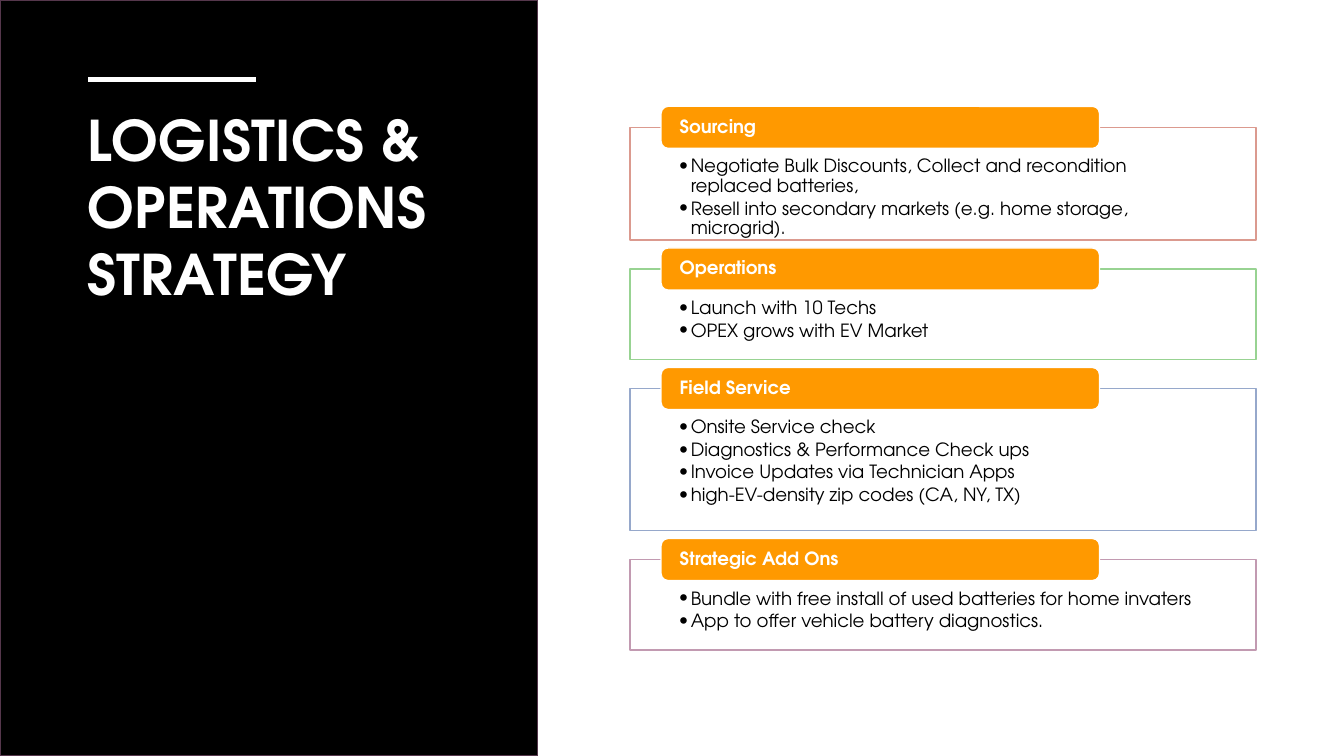
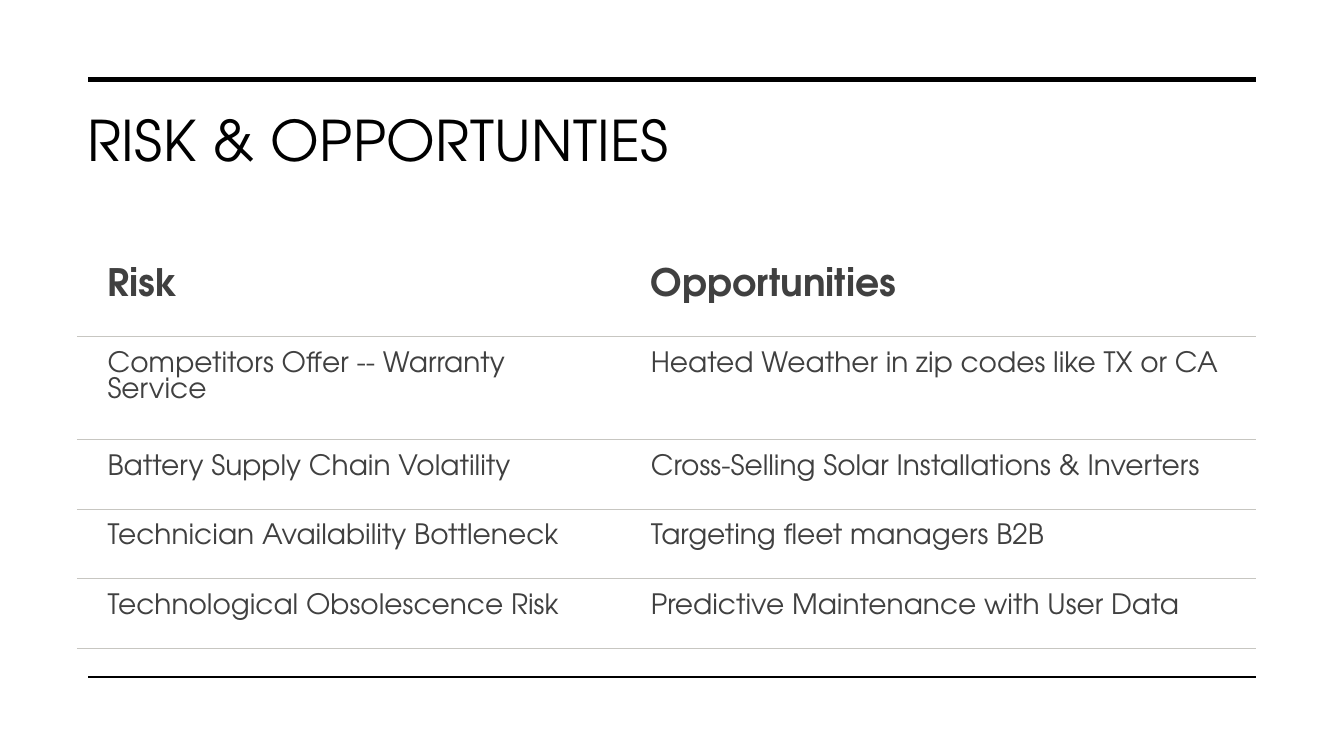
from lxml.etree import SubElement
from pptx import Presentation
from pptx.dml.color import RGBColor
from pptx.enum.shapes import MSO_CONNECTOR as Connector, MSO_SHAPE as Shape
from pptx.enum.text import MSO_ANCHOR as Anchor, MSO_AUTO_SIZE as AutoSize, PP_ALIGN as Align
from pptx.oxml import parse_xml
from pptx.oxml.ns import nsdecls, qn
from pptx.util import Cm, Pt

FONT = "TeX Gyre Adventor"
BLACK = RGBColor(0x00, 0x00, 0x00)
WHITE = RGBColor(0xFF, 0xFF, 0xFF)
ORANGE = RGBColor(0xFF, 0x99, 0x00)
PLUM = RGBColor(0x55, 0x37, 0x4C)
GREY = RGBColor(0x40, 0x40, 0x40)
SILVER = RGBColor(0xC7, 0xC6, 0xC1)
CORAL = RGBColor(0xDB, 0x9A, 0x8F)
GREEN = RGBColor(0x98, 0xD3, 0x92)
BLUE = RGBColor(0x96, 0xA8, 0xCB)
MAUVE = RGBColor(0xC2, 0x9A, 0xB1)

RULE_LEFT, RIGHT = 2.23, 31.65
TITLE_LEFT, TITLE_TOP = 1.95, 2.53


def write(para, text, size=13, color=BLACK, bold=False, spacing=1.0, after=0, tracking=0, bullet=False):
    para.alignment = Align.LEFT
    para.line_spacing = spacing
    para.space_before = Pt(0)
    para.space_after = Pt(after)
    if bullet:
        properties = para._p.get_or_add_pPr()
        properties.set("marL", str(Cm(0.3)))
        properties.set("indent", str(-Cm(0.3)))
        SubElement(properties, qn("a:buFont"), typeface=FONT)
        SubElement(properties, qn("a:buChar"), char="•")
    span = para.add_run()
    span.text = text
    span.font.name = FONT
    span.font.size = Pt(size)
    span.font.bold = bold
    span.font.color.rgb = color
    if tracking:
        span.font._element.set("spc", str(tracking))


def add_block(page, kind, left, top, width, height, fill, line):
    block = page.shapes.add_shape(kind, Cm(left), Cm(top), Cm(width), Cm(height))
    block.shadow.inherit = False
    block.fill.solid()
    block.fill.fore_color.rgb = fill
    block.line.color.rgb = line
    block.line.width = Pt(1)
    block.text_frame.word_wrap = True
    return block


deck = Presentation()
deck.slide_width, deck.slide_height = Cm(33.87), Cm(19.05)

openings = [
    ("LOGISTICS & OPERATIONS STRATEGY", 10.34, 10.19, WHITE, True, [(2.01, 6.45, 3.5)]),
    ("RISK & OPPORTUNTIES", 29.69, 3.2, BLACK, False, [(2.01, RIGHT, 3.5), (17.06, RIGHT, 1)]),
]
for text, width, height, color, bold, rules in openings:
    page = deck.slides.add_slide(deck.slide_layouts[5])
    title = page.shapes.title
    title.left, title.top = Cm(TITLE_LEFT), Cm(TITLE_TOP)
    title.width, title.height = Cm(width), Cm(height)
    title.text_frame.auto_size = AutoSize.NONE
    title.text_frame.vertical_anchor = Anchor.TOP
    write(title.text_frame.paragraphs[0], text, size=40, color=color, bold=bold, tracking=30)
    for y, end, weight in rules:
        rule = page.shapes.add_connector(Connector.STRAIGHT, Cm(RULE_LEFT), Cm(y), Cm(end), Cm(y))
        rule.line.color.rgb = color
        rule.line.width = Pt(weight)
        SubElement(rule._element.spPr, qn("a:effectLst"))

strategy, risks = deck.slides

panel = add_block(strategy, Shape.RECTANGLE, 0, 0, 13.54, 19.05, BLACK, PLUM)
strategy.shapes.title.element.addprevious(panel.element)

sections = [
    ("Sourcing", CORAL, 2.84, [
        "Negotiate Bulk Discounts, Collect and recondition replaced batteries,",
        "Resell into secondary markets (e.g. home storage, microgrid).",
    ]),
    ("Operations", GREEN, 2.28, ["Launch with 10 Techs", "OPEX grows with EV Market"]),
    ("Field Service", BLUE, 3.58, [
        "Onsite Service check",
        "Diagnostics & Performance Check ups",
        "Invoice Updates via Technician Apps",
        "high-EV-density zip codes (CA, NY, TX)",
    ]),
    ("Strategic Add Ons", MAUVE, 2.28, [
        "Bundle with free install of used batteries for home invaters",
        "App to offer vehicle battery diagnostics.",
    ]),
]
top = 3.21
for heading, outline, height, points in sections:
    box = add_block(strategy, Shape.RECTANGLE, 15.88, top, 15.77, height, WHITE, outline)
    frame = box.text_frame
    frame.vertical_anchor = Anchor.TOP
    frame.margin_left = frame.margin_right = Cm(1.23)
    frame.margin_top, frame.margin_bottom = Cm(0.75), Cm(0.25)
    for number, point in enumerate(points):
        para = frame.add_paragraph() if number else frame.paragraphs[0]
        write(para, point, spacing=0.9, after=2, bullet=True)

    label = add_block(strategy, Shape.ROUNDED_RECTANGLE, 16.66, top - 0.53, 11.05, 1.06, ORANGE, WHITE)
    frame = label.text_frame
    frame.vertical_anchor = Anchor.MIDDLE
    frame.margin_left = frame.margin_right = Cm(0.42)
    frame.margin_top = frame.margin_bottom = 0
    write(frame.paragraphs[0], heading, color=WHITE, bold=True, spacing=0.9)
    top += height + 0.73

rows = [
    ("Risk", "Opportunities"),
    ("Competitors Offer -- Warranty Service", "Heated Weather in zip codes like TX or CA"),
    ("Battery Supply Chain Volatility", "Cross-Selling Solar Installations & Inverters"),
    ("Technician Availability Bottleneck", "Targeting fleet managers B2B"),
    ("Technological Obsolescence Risk", "Predictive Maintenance with User Data"),
]
heights = [2.08, 2.6, 1.75, 1.75, 1.75]
table = risks.shapes.add_table(
    len(rows), 2, Cm(TITLE_LEFT), Cm(6.4), Cm(29.69), Cm(sum(heights))
).table
table.first_row = table.horz_banding = False
for column, width in zip(table.columns, [13.69, 16]):
    column.width = Cm(width)
for index, (texts, height) in enumerate(zip(rows, heights)):
    table.rows[index].height = Cm(height)
    header = index == 0
    for cell, text in zip(table.rows[index].cells, texts):
        cell.fill.background()
        cell.margin_left, cell.margin_right = Cm(0.76), Cm(0.58)
        cell.margin_top = cell.margin_bottom = Cm(0.38)
        write(cell.text_frame.paragraphs[0], text, size=27 if header else 20,
              color=GREY, bold=header)
        for side in ["lnB"] if header else ["lnB", "lnT"]:
            border = parse_xml(
                f'<a:{side} {nsdecls("a")} w="{Pt(0.75)}"><a:solidFill>'
                f'<a:srgbClr val="{SILVER}"/></a:solidFill></a:{side}>'
            )
            cell._tc.get_or_add_tcPr().insert(0, border)

deck.save("out.pptx")
